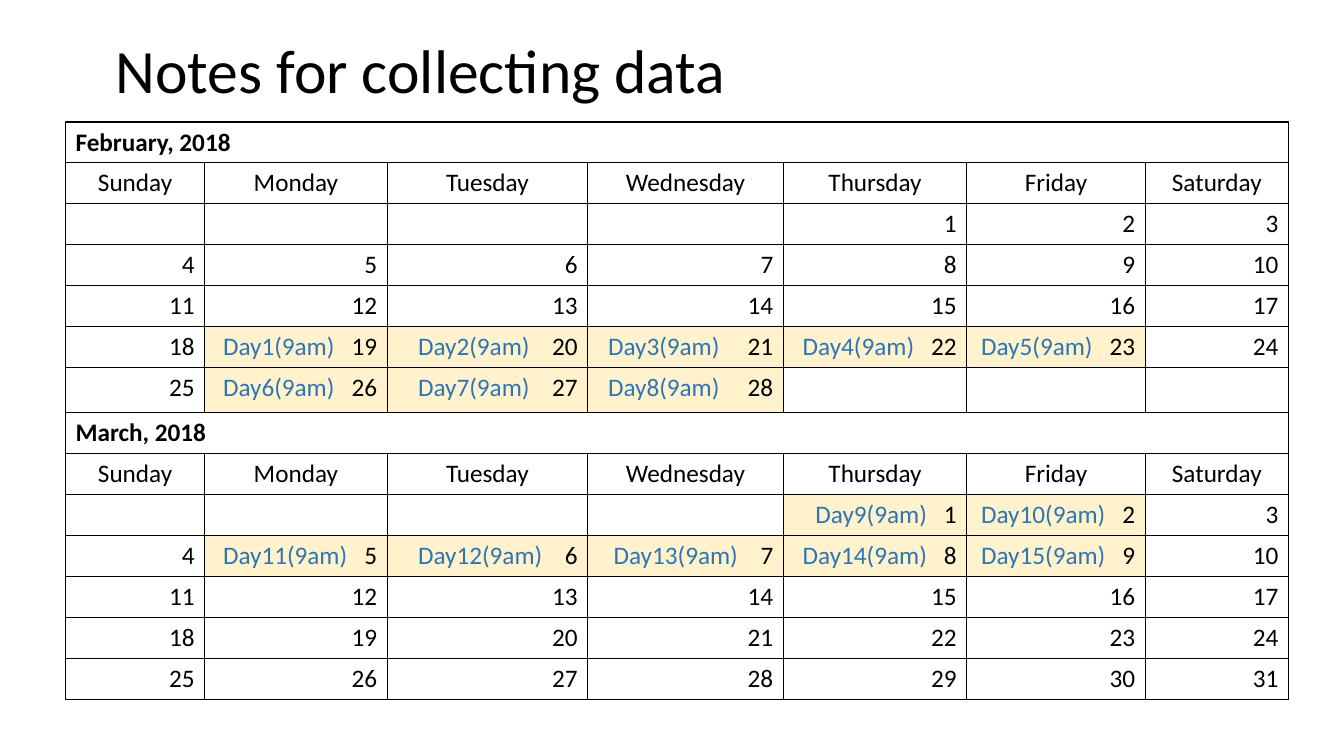
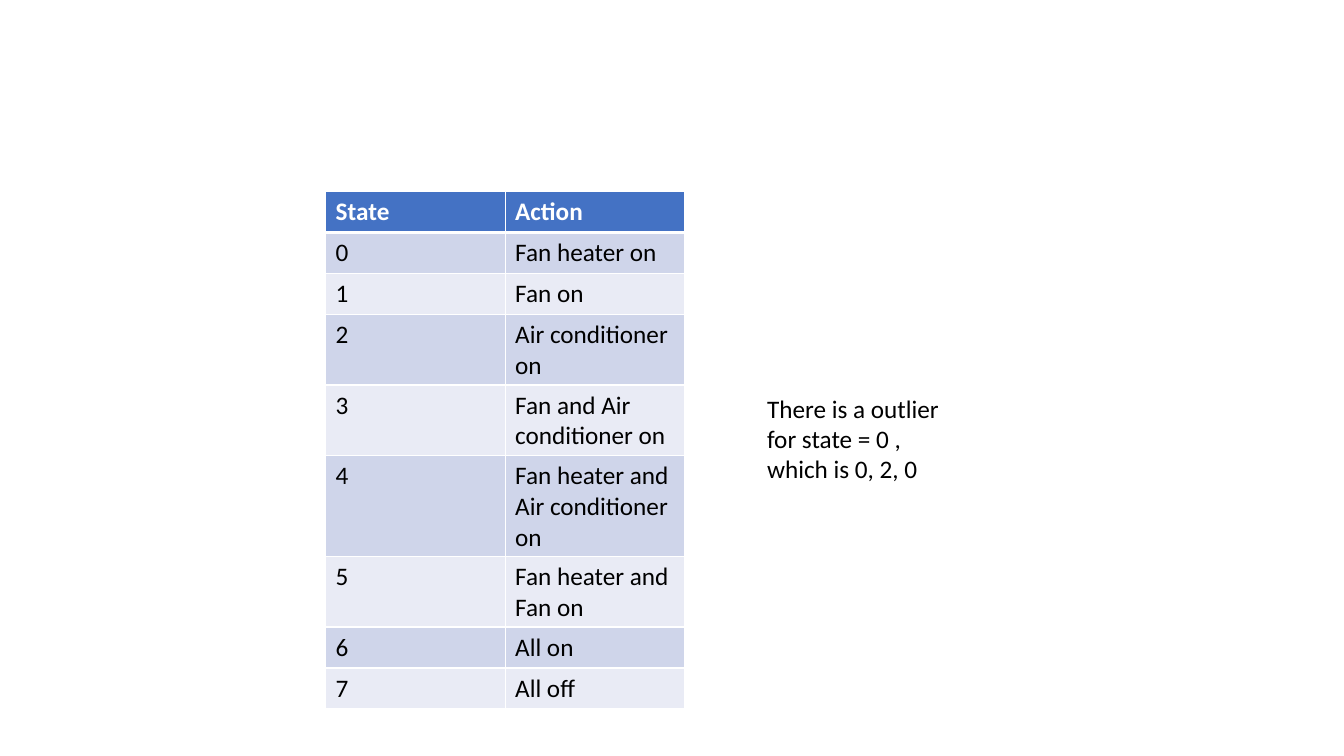
"""Build two slides: a data collection calendar and a table of states and actions."""
from dataclasses import dataclass

from lxml import etree
from pptx import Presentation
from pptx.dml.color import RGBColor
from pptx.enum.text import MSO_ANCHOR, PP_ALIGN
from pptx.oxml.ns import qn
from pptx.util import Inches, Pt

CENTER, RIGHT = PP_ALIGN.CENTER, PP_ALIGN.RIGHT
MIDDLE = MSO_ANCHOR.MIDDLE


@dataclass(frozen=True)
class Theme:
    font: str = "Calibri"
    title_size: int = 44
    body_size: int = 18
    black: str = "000000"
    white: str = "FFFFFF"
    session_text: str = "2E75B6"
    session_fill: str = "FFF2CC"
    header_fill: str = "4472C4"
    bands: tuple = ("CFD5EA", "E9EBF5")


THEME = Theme()


def add_text(para, text, size=THEME.body_size, color=THEME.black, bold=False):
    span = para.add_run()
    span.text = text
    span.font.name = THEME.font
    span.font.size = Pt(size)
    span.font.bold = bold
    span.font.color.rgb = RGBColor.from_string(color)
    return span


def paint_cell(cell, fill, line, bottom_width=1):
    cell.fill.solid()
    cell.fill.fore_color.rgb = RGBColor.from_string(fill)
    properties = cell._tc.get_or_add_tcPr()
    widths = {"a:lnL": 1, "a:lnR": 1, "a:lnT": 1, "a:lnB": bottom_width}
    for position, (side, width) in enumerate(widths.items()):
        border = etree.Element(qn(side), w=str(Pt(width)))
        solid = etree.SubElement(border, qn("a:solidFill"))
        etree.SubElement(solid, qn("a:srgbClr"), val=line)
        properties.insert(position, border)


deck = Presentation()
deck.slide_width, deck.slide_height = Inches(13.33), Inches(7.5)
blank = deck.slide_layouts[6]

page = deck.slides.add_slide(blank)
title = page.shapes.add_textbox(Inches(1.05), Inches(0), Inches(11.5), Inches(1.45)).text_frame
title.word_wrap = True
title.vertical_anchor = MIDDLE
add_text(title.paragraphs[0], "Notes for collecting data", THEME.title_size)
title.paragraphs[0].line_spacing = 0.9

WEEKDAYS = ["Sunday", "Monday", "Tuesday", "Wednesday", "Thursday", "Friday", "Saturday"]
COLUMN_WIDTHS = [1.38, 1.81, 1.99, 1.94, 1.82, 1.77, 1.42]
MONTHS = [("February, 2018", 28, range(19, 29)), ("March, 2018", 31, range(1, 10))]
ROWS_PER_MONTH = 7
FIRST_WEEKDAY = 4
GAP_POINTS = {"Tuesday": 12, "Wednesday": 16}
USUAL_GAP = 8
SPECIAL_GAPS = {13: 12}

row_count = ROWS_PER_MONTH * len(MONTHS)
calendar_height, last_week_height = 5.73, 0.45
calendar = page.shapes.add_table(
    row_count, len(WEEKDAYS),
    Inches(0.65), Inches(1.21), Inches(12.13), Inches(calendar_height)).table
for column, width in zip(calendar.columns, COLUMN_WIDTHS):
    column.width = Inches(width)
for row in calendar.rows:
    row.height = Inches((calendar_height - last_week_height) / (row_count - 1))
calendar.rows[ROWS_PER_MONTH - 1].height = Inches(last_week_height)

session = 0
for month, (name, day_count, session_days) in enumerate(MONTHS):
    top = month * ROWS_PER_MONTH
    for row in range(top, top + ROWS_PER_MONTH):
        for column, weekday in enumerate(WEEKDAYS):
            cell = calendar.cell(row, column)
            para = cell.text_frame.paragraphs[0]
            day = (row - top - 2) * len(WEEKDAYS) + column - FIRST_WEEKDAY + 1
            fill = THEME.white
            if row == top + 1:
                add_text(para, weekday)
                para.alignment = CENTER
            elif row > top and 1 <= day <= day_count:
                para.alignment = RIGHT
                if day in session_days and 1 <= column <= 5:
                    session += 1
                    fill = THEME.session_fill
                    add_text(para, f"Day{session}(9am)", color=THEME.session_text)
                    gap = SPECIAL_GAPS.get(session, GAP_POINTS.get(weekday, USUAL_GAP))
                    space = add_text(para, " ")
                    space._r.get_or_add_rPr().set("spc", str(gap * 100))
                add_text(para, str(day))
            paint_cell(cell, fill, THEME.black)
    heading = calendar.cell(top, 0)
    heading.merge(calendar.cell(top, len(WEEKDAYS) - 1))
    add_text(heading.text_frame.paragraphs[0], name, bold=True)

page = deck.slides.add_slide(blank)
ACTIONS = [
    "Fan heater on", "Fan on", "Air conditioner on", "Fan and Air conditioner on",
    "Fan heater and Air conditioner on", "Fan heater and Fan on", "All on", "All off",
]
records = [("State", "Action")] + [(str(state), action) for state, action in enumerate(ACTIONS)]
states = page.shapes.add_table(
    len(records), 2, Inches(3.23), Inches(1.9), Inches(3.56), Inches(3.66)).table
for row, record in enumerate(records):
    is_header = row == 0
    fill = THEME.header_fill if is_header else THEME.bands[(row - 1) % 2]
    color = THEME.white if is_header else THEME.black
    for column, text in enumerate(record):
        cell = states.cell(row, column)
        add_text(cell.text_frame.paragraphs[0], text, color=color, bold=is_header)
        paint_cell(cell, fill, THEME.white, 3 if is_header else 1)

remark = page.shapes.add_textbox(Inches(7.51), Inches(3.85), Inches(2.01), Inches(1.01)).text_frame
remark.word_wrap = True
add_text(remark.paragraphs[0], "There is a outlier for state = 0 , which is 0, 2, 0")

deck.save("out.pptx")
